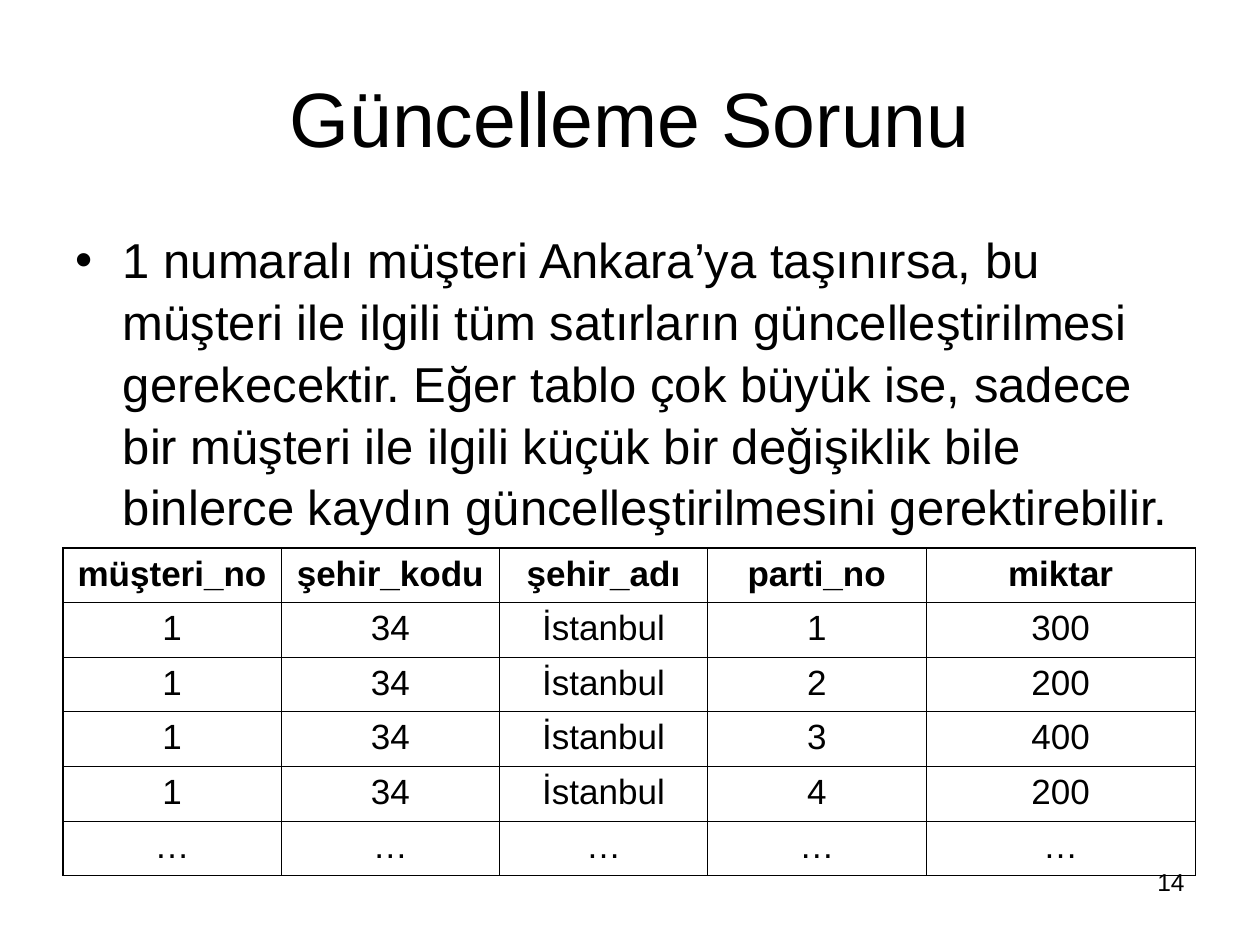
from lxml import etree
from pptx import Presentation
from pptx.dml.color import RGBColor
from pptx.enum.text import MSO_ANCHOR, MSO_AUTO_SIZE, PP_ALIGN
from pptx.oxml.ns import qn
from pptx.util import Pt

BLACK = RGBColor(0x00, 0x00, 0x00)
CENTER, LEFT, RIGHT = PP_ALIGN.CENTER, PP_ALIGN.LEFT, PP_ALIGN.RIGHT
MIDDLE, TOP = MSO_ANCHOR.MIDDLE, MSO_ANCHOR.TOP
NO_AUTOFIT = MSO_AUTO_SIZE.NONE

TITLE = "Güncelleme Sorunu"
BODY = (
    "1 numaralı müşteri Ankara’ya taşınırsa, bu müşteri ile ilgili tüm "
    "satırların güncelleştirilmesi gerekecektir. Eğer tablo çok büyük ise, "
    "sadece bir müşteri ile ilgili küçük bir değişiklik bile binlerce kaydın "
    "güncelleştirilmesini gerektirebilir."
)
HEADERS = ["müşteri_no", "şehir_kodu", "şehir_adı", "parti_no", "miktar"]
AMOUNTS = [300, 200, 400, 200]
ORDERS = [
    ["1", "34", "İstanbul", str(batch), str(amount)]
    for batch, amount in enumerate(AMOUNTS, start=1)
]
ROWS = [HEADERS, *ORDERS, ["…"] * len(HEADERS)]
COLUMN_WIDTHS = [124.7, 124.7, 119, 124.7, 154]
ROW_HEIGHT = 31.2


class SlideBuilder:
    """Holds the style and the current slide."""

    font_name = "Arial"
    color = BLACK
    inner_border = 0.45
    outer_border = 1.08

    def __init__(self, slide):
        self.slide = slide

    def format_paragraph(self, paragraph, size, alignment, bold=False):
        paragraph.alignment = alignment
        font = paragraph.font
        font.name, font.size, font.bold = self.font_name, Pt(size), bold
        font.color.rgb = self.color

    def placeholder(self, shape, text, box, size, alignment, anchor):
        shape.left, shape.top, shape.width, shape.height = map(Pt, box)
        frame = shape.text_frame
        frame.text = text
        frame.auto_size = NO_AUTOFIT
        frame.vertical_anchor = anchor
        paragraph = frame.paragraphs[0]
        self.format_paragraph(paragraph, size, alignment)
        return paragraph

    def text_box(self, text, box, size, alignment):
        shape = self.slide.shapes.add_textbox(*map(Pt, box))
        frame = shape.text_frame
        frame.word_wrap = True
        frame.text = text
        self.format_paragraph(frame.paragraphs[0], size, alignment)

    def cell_borders(self, cell, outer_sides):
        properties = cell._tc.get_or_add_tcPr()
        for position, side in enumerate(("lnL", "lnR", "lnT", "lnB")):
            width = self.outer_border if side in outer_sides else self.inner_border
            line = etree.Element(qn(f"a:{side}"), w=str(Pt(width)))
            fill = etree.SubElement(line, qn("a:solidFill"))
            etree.SubElement(fill, qn("a:srgbClr"), val=str(self.color))
            properties.insert(position, line)

    def table(self, rows, left, top, column_widths, row_height, size):
        last_row, last_column = len(rows) - 1, len(column_widths) - 1
        table = self.slide.shapes.add_table(
            len(rows), len(column_widths), Pt(left), Pt(top),
            Pt(sum(column_widths)), Pt(row_height * len(rows)),
        ).table
        table.first_row = table.horz_banding = False
        for column, width in zip(table.columns, column_widths):
            column.width = Pt(width)
        for row_index, values in enumerate(rows):
            table.rows[row_index].height = Pt(row_height)
            for column_index, value in enumerate(values):
                cell = table.cell(row_index, column_index)
                cell.text = value
                cell.fill.background()
                paragraph = cell.text_frame.paragraphs[0]
                self.format_paragraph(paragraph, size, CENTER, bold=row_index == 0)
                paragraph.space_before = Pt(5)
                edges = {
                    "lnL": column_index == 0,
                    "lnR": column_index == last_column,
                    "lnT": row_index == 0,
                    "lnB": row_index == last_row,
                }
                self.cell_borders(cell, [side for side in edges if edges[side]])


def main():
    presentation = Presentation()
    presentation.slide_width, presentation.slide_height = Pt(720), Pt(540)
    slide = presentation.slides.add_slide(presentation.slide_layouts[1])
    builder = SlideBuilder(slide)

    # Title and bulleted text
    builder.placeholder(
        slide.shapes.title, TITLE, (36, 21.6, 648, 90), 44, CENTER, MIDDLE
    )
    bullet = builder.placeholder(
        slide.placeholders[1], BODY, (36, 126, 648, 183.6), 28, LEFT, TOP
    )
    bullet.space_before = Pt(7)
    bullet.line_spacing = 1.05

    # Order table
    builder.table(ROWS, 36, 313.2, COLUMN_WIDTHS, ROW_HEIGHT, 20)

    # Page number
    builder.text_box("14", (516, 492, 168, 37.5), 14, RIGHT)

    presentation.save("out.pptx")


if __name__ == "__main__":
    main()
